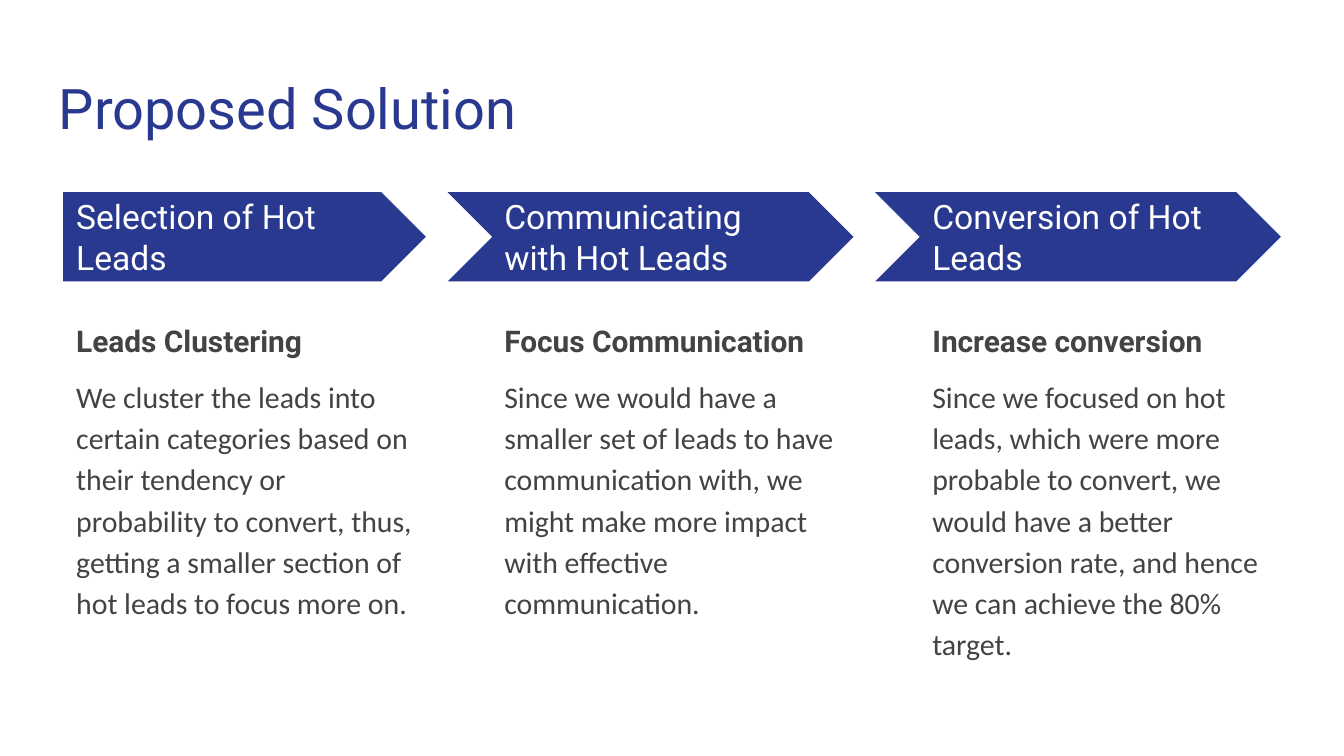
from pptx import Presentation
from pptx.dml.color import RGBColor
from pptx.enum.shapes import MSO_SHAPE
from pptx.enum.text import MSO_ANCHOR, PP_ALIGN
from pptx.util import Pt

PENTAGON, CHEVRON = MSO_SHAPE.PENTAGON, MSO_SHAPE.CHEVRON
TOP, MIDDLE = MSO_ANCHOR.TOP, MSO_ANCHOR.MIDDLE
LEFT = PP_ALIGN.LEFT

NAVY, WHITE, GRAY = "2A3990", "FFFFFF", "434343"
TEXT_LEFT, COLUMN_PITCH = 33.8, 229.3
ARROW_RIGHT, ARROW_PITCH = 228.2, 229
ARROW_TOP, ARROW_HEIGHT = 103, 47.8

STEPS = [
    ("Selection of Hot Leads", "Leads Clustering",
     "We cluster the leads into certain categories based on their tendency or "
     "probability to convert, thus, getting a smaller section of hot leads to "
     "focus more on."),
    ("Communicating with Hot Leads", "Focus Communication",
     "Since we would have a smaller set of leads to have communication with, "
     "we might make more impact with effective communication."),
    ("Conversion of Hot Leads", "Increase conversion",
     "Since we focused on hot leads, which were more probable to convert, we "
     "would have a better conversion rate, and hence we can achieve the 80% "
     "target."),
]


def color(hex_string):
    return RGBColor.from_string(hex_string)


def add_text_box(slide, left, top, width, height, anchor=TOP):
    """Add an empty wrapping text box and return its text frame."""
    box = slide.shapes.add_textbox(Pt(left), Pt(top), Pt(width), Pt(height))
    frame = box.text_frame
    frame.word_wrap = True
    frame.vertical_anchor = anchor
    frame.margin_left = frame.margin_right = Pt(7.2)
    frame.margin_top = frame.margin_bottom = Pt(7.2)
    return frame


def write(paragraph, text, size, hex_color, font="Roboto", bold=False):
    paragraph.text = text
    paragraph.alignment = LEFT
    for run in paragraph.runs:
        run.font.name = font
        run.font.size = Pt(size)
        run.font.bold = bold
        run.font.color.rgb = color(hex_color)


def add_arrow(slide, kind, right, width):
    arrow = slide.shapes.add_shape(
        kind, Pt(right - width), Pt(ARROW_TOP), Pt(width), Pt(ARROW_HEIGHT))
    arrow.adjustments[0] = 0.5
    arrow.shadow.inherit = False
    arrow.fill.solid()
    arrow.fill.fore_color.rgb = color(NAVY)
    arrow.line.fill.background()


def add_description(slide, left, heading, body):
    frame = add_text_box(slide, left, 162.8, 194.4, 208.8)
    heading_paragraph = frame.paragraphs[0]
    write(heading_paragraph, heading, 16, GRAY, bold=True)
    body_paragraph = frame.add_paragraph()
    write(body_paragraph, body, 16, GRAY, font="Calibri")
    body_paragraph.space_before = body_paragraph.space_after = Pt(8)
    for paragraph in frame.paragraphs:
        paragraph.line_spacing = 1.15


def add_step(slide, index, label, heading, body):
    kind, width = (PENTAGON, 194.4) if index == 0 else (CHEVRON, 217.4)
    add_arrow(slide, kind, ARROW_RIGHT + index * ARROW_PITCH, width)
    left = TEXT_LEFT + index * COLUMN_PITCH
    frame = add_text_box(slide, left, 114.5, 177.8, 24.5, MIDDLE)
    write(frame.paragraphs[0], label, 18, WHITE)
    add_description(slide, left, heading, body)


def main():
    presentation = Presentation()
    presentation.slide_width, presentation.slide_height = Pt(720), Pt(405)
    blank_layout = presentation.slide_layouts[6]
    slide = presentation.slides.add_slide(blank_layout)
    title = add_text_box(slide, 24.5, 32.4, 671, 47.5)
    write(title.paragraphs[0], "Proposed Solution", 30, NAVY)
    for index, step in enumerate(STEPS):
        add_step(slide, index, *step)
    presentation.save("out.pptx")


if __name__ == "__main__":
    main()
